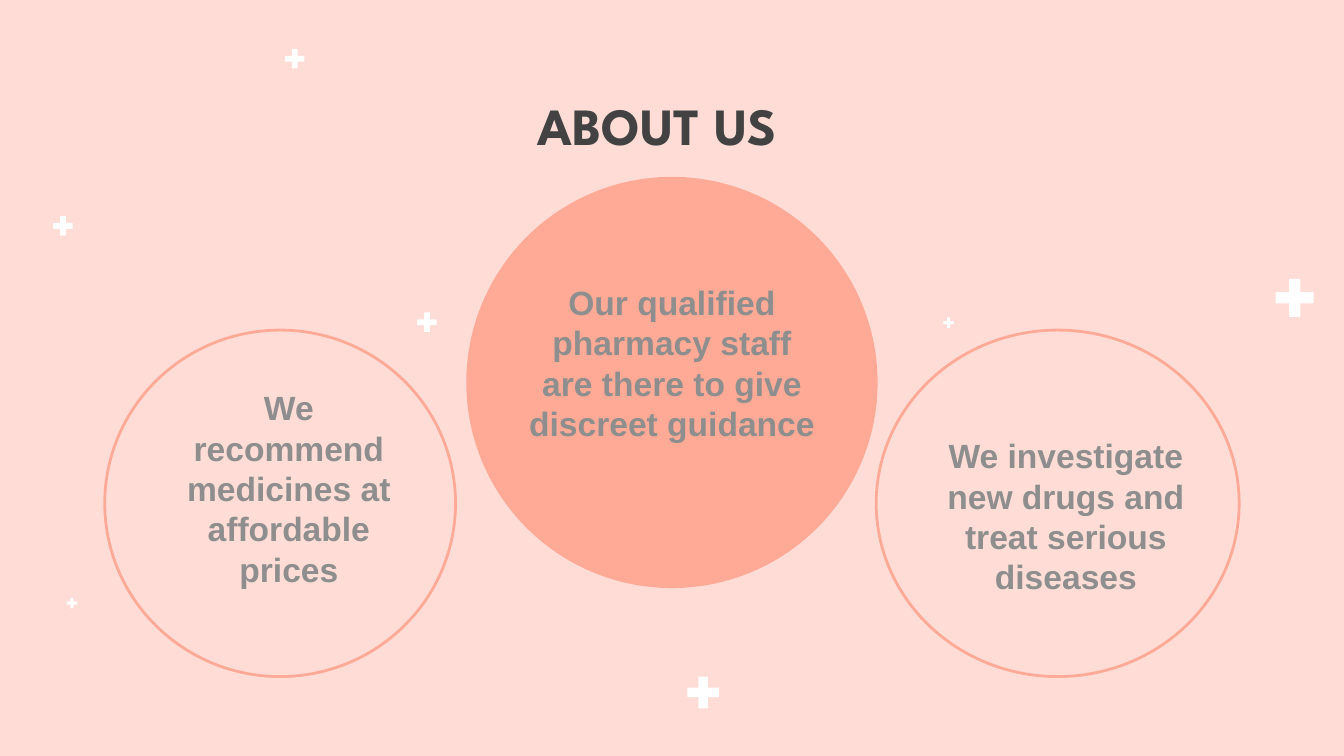
from dataclasses import dataclass

from pptx import Presentation
from pptx.dml.color import RGBColor
from pptx.enum.shapes import MSO_SHAPE
from pptx.enum.text import MSO_ANCHOR, PP_ALIGN
from pptx.util import Cm, Pt


@dataclass(frozen=True)
class Theme:
    background: str = "FFDCD6"
    accent: str = "FFAA97"
    sparkle: str = "FFFFFF"
    heading: str = "424242"
    body: str = "8E8E8E"
    heading_font: str = "League Spartan"
    body_font: str = "Arial"
    heading_size: int = 28
    body_size: int = 18
    outline: float = 1.5


THEME = Theme()
SLIDE_SIZE = (25.4, 14.29)
INSET = 0.25
BAR_RATIO = 0.3

SPARKLES = [
    (13.29, 13.09, 0.6),
    (5.57, 1.11, 0.37),
    (1.19, 4.27, 0.37),
    (8.07, 6.09, 0.37),
    (17.93, 6.1, 0.2),
    (1.36, 11.4, 0.2),
    (24.47, 5.63, 0.72),
]

TITLE = ("ABOUT US", (1.7, 1.52, 21.44, 1.6))

STATEMENTS = [
    {
        "text": "We recommend medicines at affordable prices",
        "circle": (1.98, 6.24, 6.63, 6.55),
        "box": (2.91, 7.98, 5.1, 2.49),
        "fill": None,
        "anchor": MSO_ANCHOR.MIDDLE,
    },
    {
        "text": "Our qualified pharmacy staff are there to give discreet guidance",
        "circle": (8.84, 3.37, 7.72, 7.72),
        "box": (9.65, 5.08, 6.1, 3.51),
        "fill": THEME.accent,
        "anchor": MSO_ANCHOR.TOP,
    },
    {
        "text": "We investigate new drugs and treat serious diseases",
        "circle": (16.56, 6.24, 6.86, 6.55),
        "box": (17.11, 7.98, 6.07, 3.1),
        "fill": None,
        "anchor": MSO_ANCHOR.TOP,
    },
]


def add_figure(page, kind, frame, fill=None, line=None):
    shape = page.shapes.add_shape(kind, *map(Cm, frame))
    shape.shadow.inherit = False
    if fill:
        shape.fill.solid()
        shape.fill.fore_color.rgb = RGBColor.from_string(fill)
    else:
        shape.fill.background()
    if line:
        shape.line.color.rgb = RGBColor.from_string(line)
        shape.line.width = Pt(THEME.outline)
    else:
        shape.line.fill.background()


def add_sparkle(page, center_x, center_y, size):
    bar = size * BAR_RATIO
    for width, height in ((bar, size), (size, bar)):
        frame = (center_x - width / 2, center_y - height / 2, width, height)
        add_figure(page, MSO_SHAPE.RECTANGLE, frame, fill=THEME.sparkle)


def add_text(page, text, frame, *, font, size, color, anchor=MSO_ANCHOR.TOP):
    box = page.shapes.add_textbox(*map(Cm, frame))
    content = box.text_frame
    content.word_wrap = True
    content.vertical_anchor = anchor
    content.margin_left = content.margin_right = Cm(INSET)
    content.margin_top = content.margin_bottom = Cm(INSET)
    para = content.paragraphs[0]
    para.alignment = PP_ALIGN.CENTER
    para.line_spacing = 1.0
    span = para.add_run()
    span.text = text
    span.font.name = font
    span.font.size = Pt(size)
    span.font.bold = True
    span.font.color.rgb = RGBColor.from_string(color)


def main():
    deck = Presentation()
    deck.slide_width, deck.slide_height = map(Cm, SLIDE_SIZE)
    page = deck.slides.add_slide(deck.slide_layouts[6])
    page.background.fill.solid()
    page.background.fill.fore_color.rgb = RGBColor.from_string(THEME.background)

    for sparkle in SPARKLES:
        add_sparkle(page, *sparkle)
    for statement in STATEMENTS:
        add_figure(page, MSO_SHAPE.OVAL, statement["circle"],
                   fill=statement["fill"], line=THEME.accent)

    heading, frame = TITLE
    add_text(page, heading, frame, font=THEME.heading_font,
             size=THEME.heading_size, color=THEME.heading)
    for statement in STATEMENTS:
        add_text(page, statement["text"], statement["box"], font=THEME.body_font,
                 size=THEME.body_size, color=THEME.body, anchor=statement["anchor"])

    deck.save("out.pptx")


if __name__ == "__main__":
    main()
